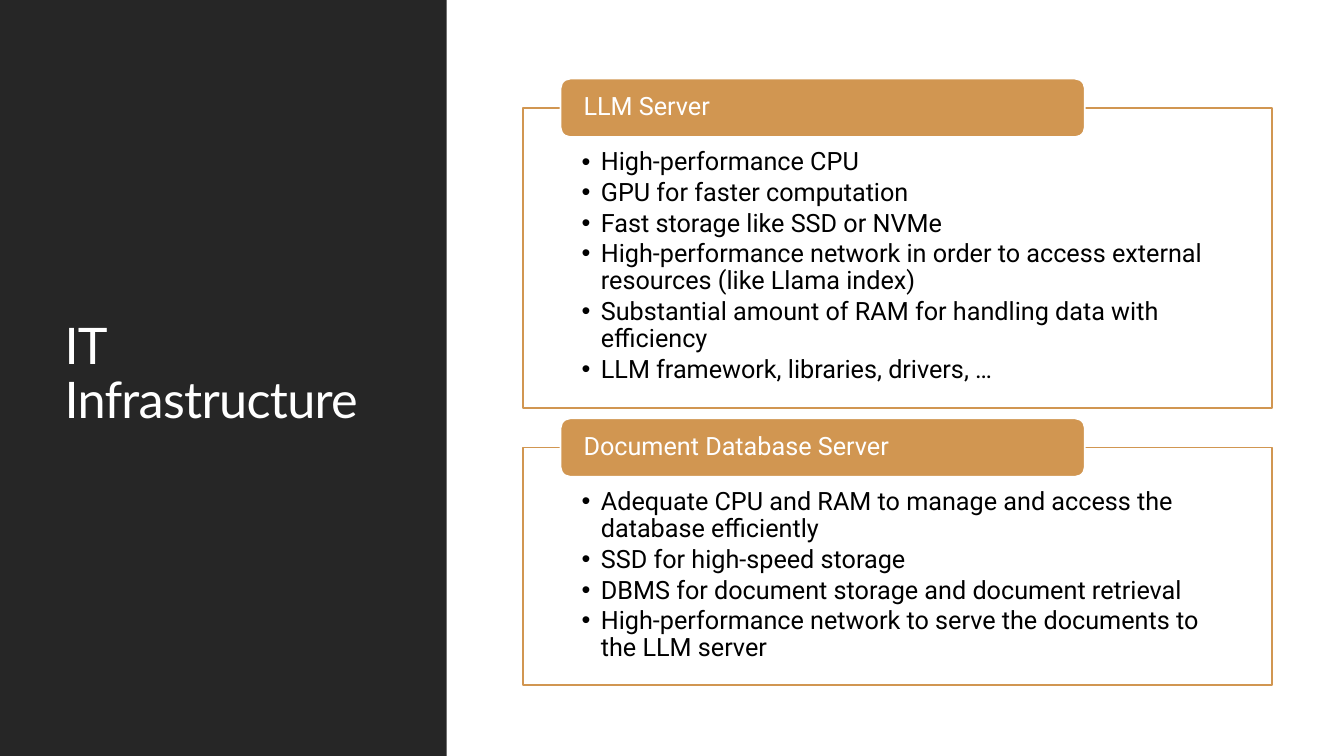
"""Build the IT infrastructure slide with two server requirement panels."""
from dataclasses import dataclass

from lxml.etree import SubElement
from pptx import Presentation
from pptx.dml.color import RGBColor
from pptx.enum.shapes import MSO_SHAPE
from pptx.enum.text import MSO_ANCHOR, PP_ALIGN
from pptx.oxml.ns import qn
from pptx.util import Inches, Pt

DARK = RGBColor(0x26, 0x26, 0x26)
ORANGE = RGBColor(0xD1, 0x96, 0x51)
WHITE = RGBColor(0xFF, 0xFF, 0xFF)
BLACK = RGBColor(0, 0, 0)

PANEL_LEFT, PANEL_WIDTH = 5.19, 7.43
HEADER_LEFT, HEADER_WIDTH, HEADER_HEIGHT = 5.56, 5.2, 0.58


@dataclass
class Server:
    name: str
    top: float
    height: float
    needs: list[str]


SERVERS = [
    Server("LLM Server", 1.07, 2.98, [
        "High-performance CPU",
        "GPU for faster computation",
        "Fast storage like SSD or NVMe",
        "High-performance network in order to access external resources (like Llama index)",
        "Substantial amount of RAM for handling data with efficiency",
        "LLM framework, libraries, drivers, …",
    ]),
    Server("Document Database Server", 4.44, 2.36, [
        "Adequate CPU and RAM to manage and access the database efficiently",
        "SSD for high-speed storage",
        "DBMS for document storage and document retrieval",
        "High-performance network to serve the documents to the LLM server",
    ]),
]


def add_box(s, kind, left: float, top: float, width: float, height: float,
            fill: RGBColor, line: RGBColor | None = None):
    """Add a flat filled shape, outlined if a line colour is given."""
    sp = s.shapes.add_shape(kind, Inches(left), Inches(top), Inches(width), Inches(height))
    sp.shadow.inherit = False
    sp.fill.solid()
    sp.fill.fore_color.rgb = fill
    if line is None:
        sp.line.fill.background()
    else:
        sp.line.color.rgb = line
        sp.line.width = Pt(1.25)
    return sp


def set_margins(tf, left: float, top: float, right: float, bottom: float) -> None:
    """Set the text insets in inches and turn wrapping on."""
    tf.word_wrap = True
    tf.margin_left, tf.margin_top = Inches(left), Inches(top)
    tf.margin_right, tf.margin_bottom = Inches(right), Inches(bottom)


def style_paragraph(p, font: str, size: float, color: RGBColor) -> None:
    """Left-align a paragraph and format its runs."""
    p.alignment = PP_ALIGN.LEFT
    p.line_spacing = 0.9
    for r in p.runs:
        r.font.name = font
        r.font.size = Pt(size)
        r.font.color.rgb = color


def add_bullet(p) -> None:
    """Give a paragraph a round bullet with a hanging indent."""
    pPr = p._p.get_or_add_pPr()
    pPr.set("marL", str(Inches(0.19)))
    pPr.set("indent", str(-Inches(0.19)))
    SubElement(pPr, qn("a:buFont")).set("typeface", "Arial")
    SubElement(pPr, qn("a:buChar")).set("char", "•")


def add_title(s, text: str) -> None:
    """Draw the dark side panel and place the title on it."""
    title = s.shapes.title
    panel = add_box(s, MSO_SHAPE.RECTANGLE, 0, 0, 4.43, 7.5, DARK)
    title.element.addprevious(panel.element)
    title.left, title.top = Inches(0.54), Inches(0.57)
    title.width, title.height = Inches(3.37), Inches(6.31)
    tf = title.text_frame
    tf.text = text
    tf.word_wrap = True
    tf.vertical_anchor = MSO_ANCHOR.MIDDLE
    style_paragraph(tf.paragraphs[0], "Lato", 36, WHITE)
    tf.paragraphs[0].runs[0].font._element.set("spc", "-50")


def add_server(s, server: Server) -> None:
    """Draw a bulleted panel with its header centred on the top edge."""
    body = add_box(s, MSO_SHAPE.RECTANGLE, PANEL_LEFT, server.top,
                   PANEL_WIDTH, server.height, WHITE, ORANGE)
    tf = body.text_frame
    set_margins(tf, 0.58, 0.41, 0.58, 0.14)
    tf.vertical_anchor = MSO_ANCHOR.TOP
    tf.text = "\n".join(server.needs)
    for p in tf.paragraphs:
        style_paragraph(p, "Roboto", 18, BLACK)
        p.space_after = Pt(2.4)
        add_bullet(p)

    header = add_box(s, MSO_SHAPE.ROUNDED_RECTANGLE, HEADER_LEFT,
                     server.top - HEADER_HEIGHT / 2, HEADER_WIDTH, HEADER_HEIGHT, ORANGE, WHITE)
    tf = header.text_frame
    set_margins(tf, 0.2, 0, 0.2, 0)
    tf.vertical_anchor = MSO_ANCHOR.MIDDLE
    tf.text = server.name
    style_paragraph(tf.paragraphs[0], "Roboto", 18, WHITE)


def main() -> None:
    """Build and save the slide."""
    prs = Presentation()
    prs.slide_width, prs.slide_height = Inches(13.33), Inches(7.5)
    s = prs.slides.add_slide(prs.slide_layouts[5])
    add_title(s, "IT Infrastructure")
    for server in SERVERS:
        add_server(s, server)
    prs.save("out.pptx")


if __name__ == "__main__":
    main()
